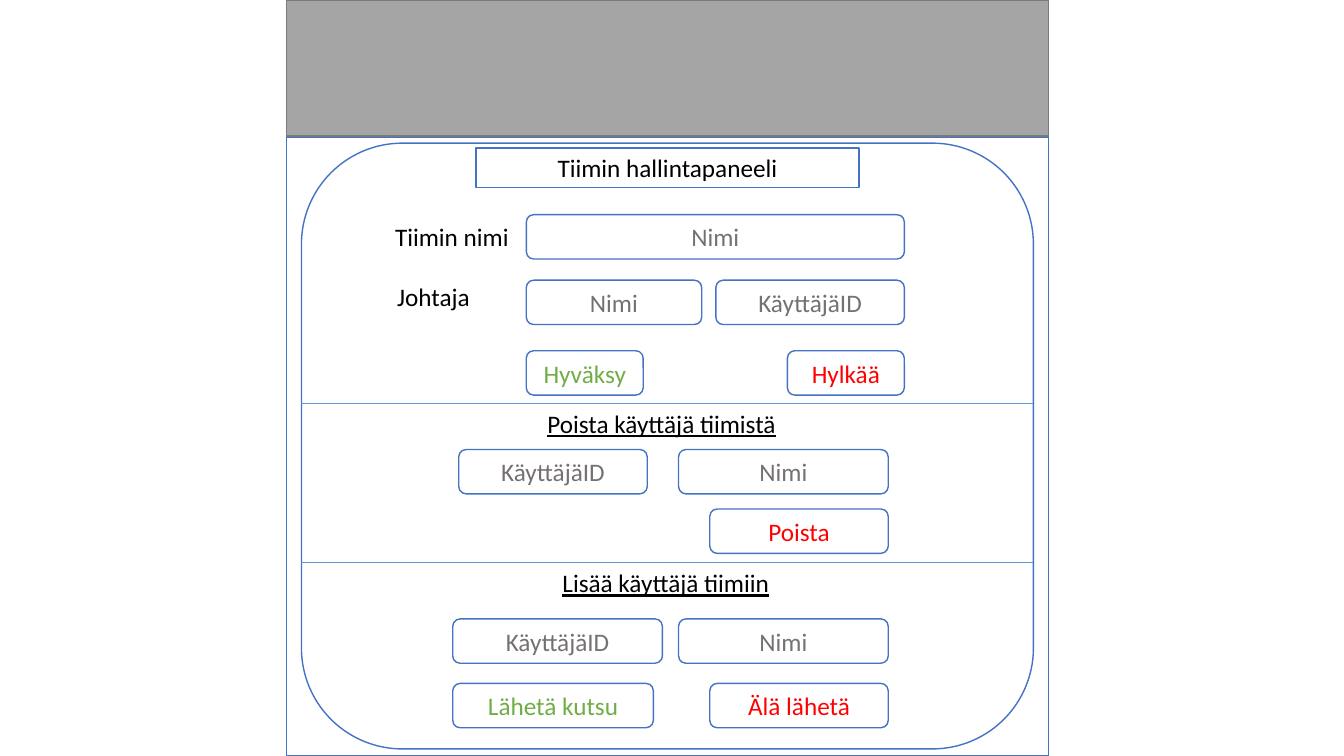
from dataclasses import dataclass

from lxml import etree
from pptx import Presentation
from pptx import util as u
from pptx.dml.color import RGBColor
from pptx.enum import shapes, text
from pptx.oxml import ns
from pptx.shapes.autoshape import Shape
from pptx.slide import Slide

BLUE, WHITE, BLACK = "4472C4", "FFFFFF", "000000"
HINT, ACCEPT, REJECT = "767171", "70AD47", "FF0000"
FIELD_HEIGHT = 0.44
LABEL_HEIGHT = 0.4
PANEL_LEFT, PANEL_WIDTH = 2.99, 7.26


@dataclass
class Frame:
    left: float
    top: float
    width: float
    height: float
    kind: shapes.MSO_SHAPE = shapes.MSO_SHAPE.RECTANGLE
    fill: str = WHITE
    line: str = BLUE


@dataclass
class Field:
    caption: str
    left: float
    top: float
    width: float
    color: str = HINT


@dataclass
class Label:
    caption: str
    left: float
    top: float
    width: float
    underline: bool = False


FRAMES = [
    Frame(2.84, 1.36, 7.56, 6.14),
    Frame(2.84, 0, 7.56, 1.35, fill="A5A5A5", line="7A7A7A"),
    Frame(PANEL_LEFT, 1.42, PANEL_WIDTH, 6.01, shapes.MSO_SHAPE.ROUNDED_RECTANGLE),
]
DIVIDERS = [4, 5.58]
FIELDS = [
    Field("Nimi", 5.22, 2.13, 3.75),
    Field("Nimi", 5.22, 2.78, 1.74),
    Field("KäyttäjäID", 7.1, 2.78, 1.87),
    Field("Hyväksy", 5.22, 3.48, 1.16, ACCEPT),
    Field("Hylkää", 7.81, 3.48, 1.16, REJECT),
    Field("KäyttäjäID", 4.55, 4.46, 1.87),
    Field("Nimi", 6.73, 4.46, 2.08),
    Field("Poista", 7.04, 5.05, 1.77, REJECT),
    Field("KäyttäjäID", 4.49, 6.14, 2.08),
    Field("Nimi", 6.73, 6.14, 2.08),
    Field("Lähetä kutsu", 4.49, 6.78, 1.99, ACCEPT),
    Field("Älä lähetä", 7.04, 6.78, 1.77, REJECT),
]
LABELS = [
    Label("Tiimin nimi", 3.82, 2.15, 1.34),
    Label("Johtaja", 3.84, 2.74, 0.93),
    Label("Poista käyttäjä tiimistä", 5.33, DIVIDERS[0], 2.49, True),
    Label("Lisää käyttäjä tiimiin", 5.48, DIVIDERS[1], 2.28, True),
]


def rgb(color: str) -> RGBColor:
    return RGBColor.from_string(color)


def paint(shape: Shape, fill: str, line: str) -> None:
    shape.fill.solid()
    shape.fill.fore_color.rgb = rgb(fill)
    shape.line.color.rgb = rgb(line)
    shape.line.width = u.Pt(1)
    shape.shadow.inherit = False


def write(shape: Shape, caption: str, color: str, align: text.PP_ALIGN) -> None:
    shape.text_frame.text = caption
    paragraph = shape.text_frame.paragraphs[0]
    paragraph.alignment = align
    paragraph.font.name = "Calibri"
    paragraph.font.size = u.Pt(18)
    paragraph.font.color.rgb = rgb(color)


def add_frame(slide: Slide, frame: Frame) -> Shape:
    shape = slide.shapes.add_shape(
        frame.kind, u.Inches(frame.left), u.Inches(frame.top),
        u.Inches(frame.width), u.Inches(frame.height))
    paint(shape, frame.fill, frame.line)
    return shape


def add_field(slide: Slide, field: Field) -> None:
    shape = add_frame(slide, Frame(field.left, field.top, field.width, FIELD_HEIGHT,
                                   shapes.MSO_SHAPE.ROUNDED_RECTANGLE))
    write(shape, field.caption, field.color, text.PP_ALIGN.CENTER)
    shape.text_frame.vertical_anchor = text.MSO_ANCHOR.MIDDLE


def add_label(slide: Slide, label: Label) -> None:
    box = slide.shapes.add_textbox(u.Inches(label.left), u.Inches(label.top),
                                   u.Inches(label.width), u.Inches(LABEL_HEIGHT))
    write(box, label.caption, BLACK, text.PP_ALIGN.LEFT)
    box.text_frame.word_wrap = False
    box.text_frame.auto_size = text.MSO_AUTO_SIZE.SHAPE_TO_FIT_TEXT
    if label.underline:
        box.text_frame.paragraphs[0].font.underline = True


def add_divider(slide: Slide, top: float) -> None:
    divider = slide.shapes.add_connector(
        shapes.MSO_CONNECTOR.STRAIGHT, u.Inches(PANEL_LEFT), u.Inches(top),
        u.Inches(PANEL_LEFT + PANEL_WIDTH), u.Inches(top))
    divider.line.color.rgb = rgb("5B9BD5")
    divider.line.width = u.Pt(0.5)
    etree.SubElement(divider._element.spPr, ns.qn("a:effectLst"))


def place_title(slide: Slide, caption: str) -> None:
    title = slide.shapes.title
    title.left, title.top = u.Inches(4.72), u.Inches(1.47)
    title.width, title.height = u.Inches(3.8), u.Inches(0.39)
    geometry = etree.SubElement(title._element.spPr, ns.qn("a:prstGeom"), prst="roundRect")
    etree.SubElement(geometry, ns.qn("a:avLst"))
    paint(title, WHITE, BLUE)
    write(title, caption, BLACK, text.PP_ALIGN.CENTER)
    title.text_frame.vertical_anchor = text.MSO_ANCHOR.MIDDLE
    title.text_frame.auto_size = text.MSO_AUTO_SIZE.NONE
    slide.shapes._spTree.append(title._element)


def main() -> None:
    presentation = Presentation()
    presentation.slide_width = u.Inches(13.33)
    presentation.slide_height = u.Inches(7.5)
    slide = presentation.slides.add_slide(presentation.slide_layouts[5])
    for frame in FRAMES:
        add_frame(slide, frame)
    place_title(slide, "Tiimin hallintapaneeli")
    for top in DIVIDERS:
        add_divider(slide, top)
    for field in FIELDS:
        add_field(slide, field)
    for label in LABELS:
        add_label(slide, label)
    presentation.save("out.pptx")


if __name__ == "__main__":
    main()
